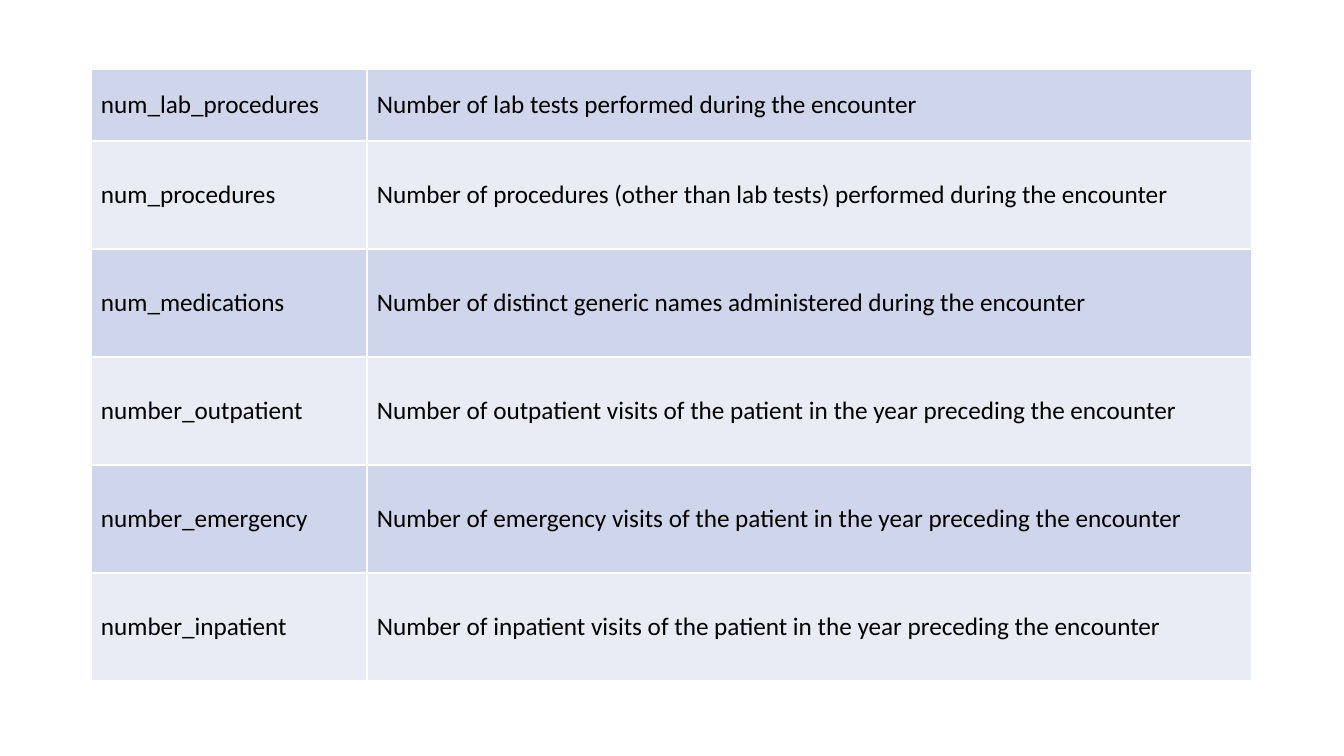
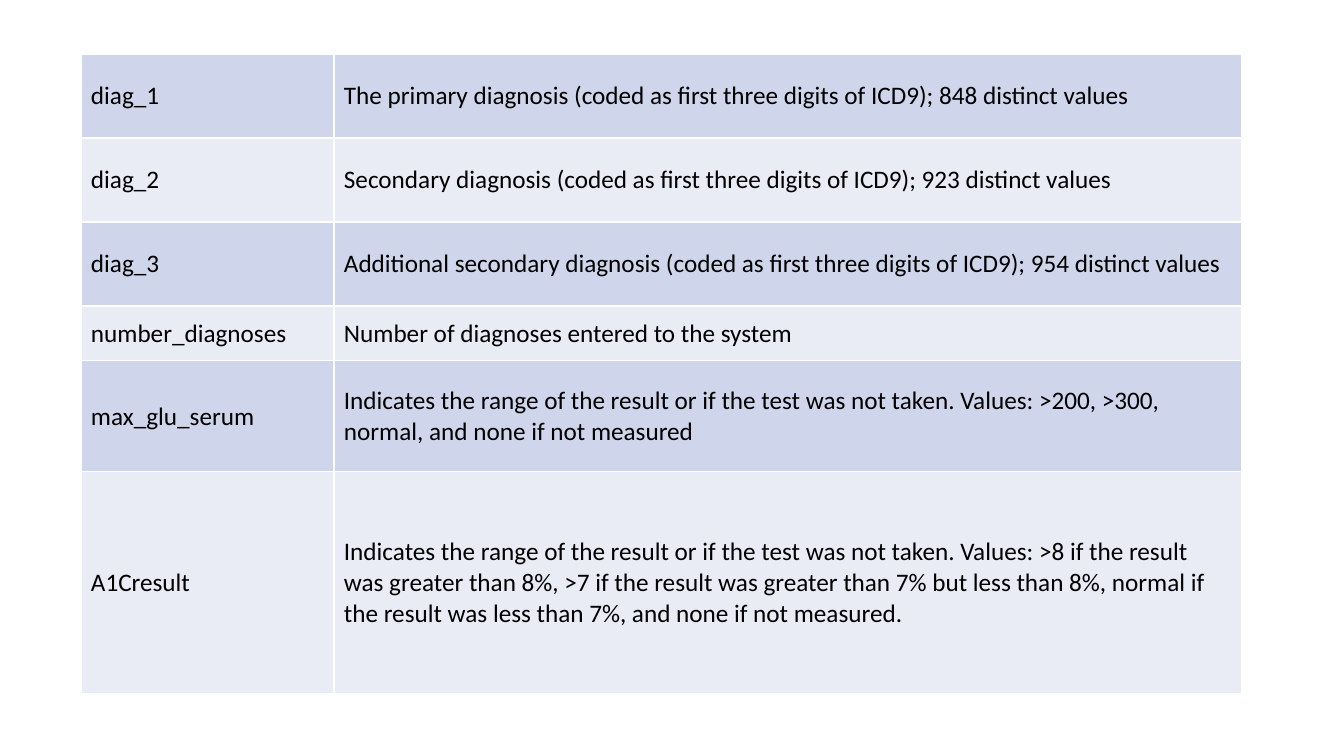
"""Build two slides that list the fields of a patient-encounter data set."""
from lxml import etree
from pptx import Presentation
from pptx import util as u
from pptx.dml.color import RGBColor
from pptx.enum import text
from pptx.oxml.ns import qn

PX_PER_INCH = 100.8
FONT, SIZE = "Calibri", 18
INK, BORDER = "000000", "FFFFFF"
BANDS = ("CFD5EA", "E9EBF5")
BORDER_PT = 1
PAD_X, PAD_Y = 10, 1

COUNT_FIELDS = [
    (72, "num_lab_procedures", "Number of lab tests performed during the encounter"),
    (108, "num_procedures",
     "Number of procedures (other than lab tests) performed during the encounter"),
    (108, "num_medications",
     "Number of distinct generic names administered during the encounter"),
    (108, "number_outpatient",
     "Number of outpatient visits of the patient in the year preceding the encounter"),
    (108, "number_emergency",
     "Number of emergency visits of the patient in the year preceding the encounter"),
    (108, "number_inpatient",
     "Number of inpatient visits of the patient in the year preceding the encounter"),
]
DIAGNOSIS_FIELDS = [
    (84, "diag_1",
     "The primary diagnosis (coded as first three digits of ICD9); 848 distinct values"),
    (84, "diag_2",
     "Secondary diagnosis (coded as first three digits of ICD9); 923 distinct values"),
    (84, "diag_3",
     "Additional secondary diagnosis (coded as first three digits of ICD9); "
     "954 distinct values"),
    (55, "number_diagnoses", "Number of diagnoses entered to the system"),
    (111, "max_glu_serum",
     "Indicates the range of the result or if the test was not taken. "
     "Values: >200, >300, normal, and none if not measured"),
    (222, "A1Cresult",
     "Indicates the range of the result or if the test was not taken. "
     "Values: >8 if the result was greater than 8%, >7 if the result was greater "
     "than 7% but less than 8%, normal if the result was less than 7%, "
     "and none if not measured."),
]


def px(n):
    """Turn pixels into EMU."""
    return u.Inches(n / PX_PER_INCH)


def rgb(value):
    """Turn a hex string into a colour."""
    return RGBColor.from_string(value)


def add_borders(cell):
    """Draw the same thin line on all four sides of a cell."""
    tc_pr = cell._tc.get_or_add_tcPr()
    for side in ("lnL", "lnR", "lnT", "lnB"):
        ln = etree.SubElement(tc_pr, qn(f"a:{side}"), w=str(u.Pt(BORDER_PT)))
        fill = etree.SubElement(ln, qn("a:solidFill"))
        etree.SubElement(fill, qn("a:srgbClr"), val=BORDER)


def fill_cell(cell, words, colour):
    """Write and style one table cell."""
    add_borders(cell)
    cell.fill.solid()
    cell.fill.fore_color.rgb = rgb(colour)
    cell.margin_left = cell.margin_right = px(PAD_X)
    cell.margin_top = cell.margin_bottom = px(PAD_Y)
    cell.vertical_anchor = text.MSO_ANCHOR.MIDDLE
    p = cell.text_frame.paragraphs[0]
    p.text = words
    p.font.name, p.font.size = FONT, u.Pt(SIZE)
    p.font.color.rgb = rgb(INK)


def field_slide(prs, left, top, widths, fields):
    """Add a slide with a banded table of field names and meanings."""
    s = prs.slides.add_slide(prs.slide_layouts[6])
    height = sum(row[0] for row in fields)
    table = s.shapes.add_table(len(fields), len(widths), px(left), px(top),
                               px(sum(widths)), px(height)).table
    table.first_row = table.horz_banding = False
    for column, width in zip(table.columns, widths):
        column.width = px(width)
    for i, (row_height, *words) in enumerate(fields):
        table.rows[i].height = px(row_height)
        for cell, value in zip(table.rows[i].cells, words):
            fill_cell(cell, value, BANDS[i % 2])


def main():
    """Build and save the presentation."""
    prs = Presentation()
    prs.slide_width, prs.slide_height = px(1344), px(756)
    field_slide(prs, 91, 69, (276, 885), COUNT_FIELDS)
    field_slide(prs, 81, 54, (253, 908), DIAGNOSIS_FIELDS)
    prs.save("out.pptx")


if __name__ == "__main__":
    main()
